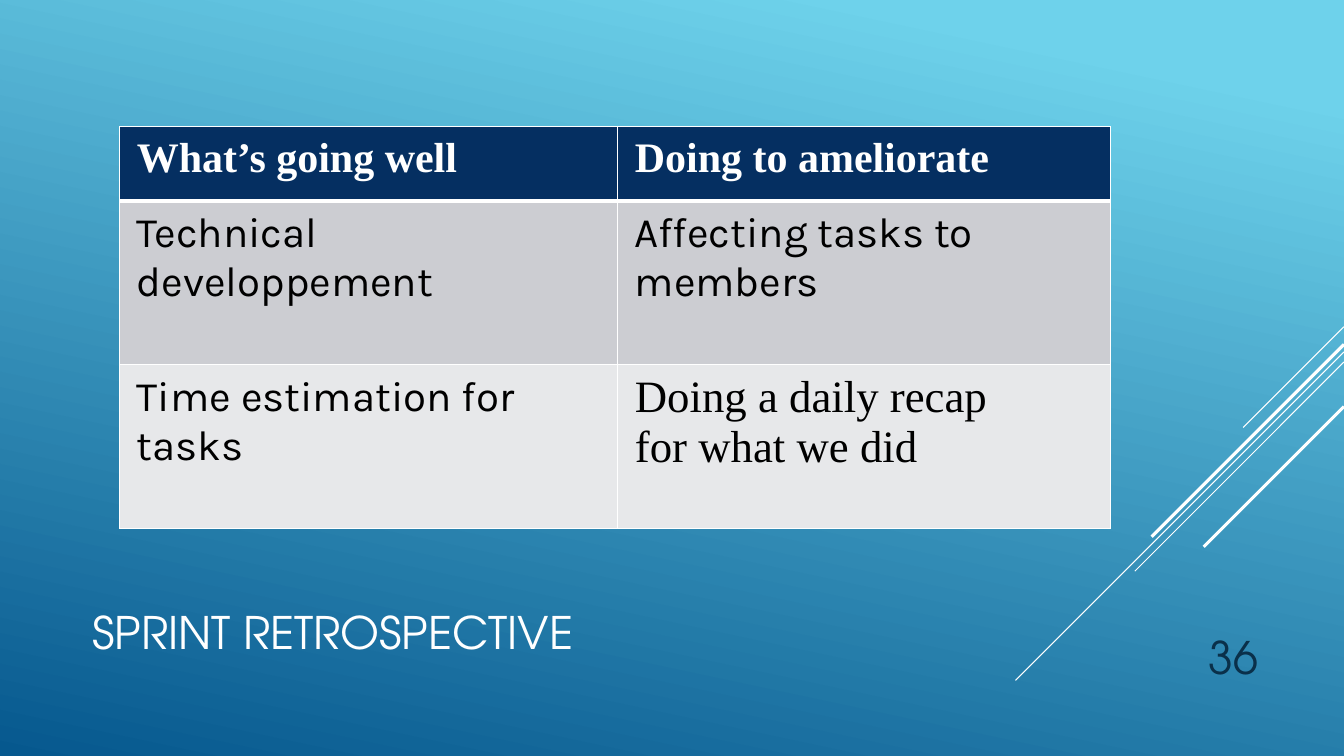
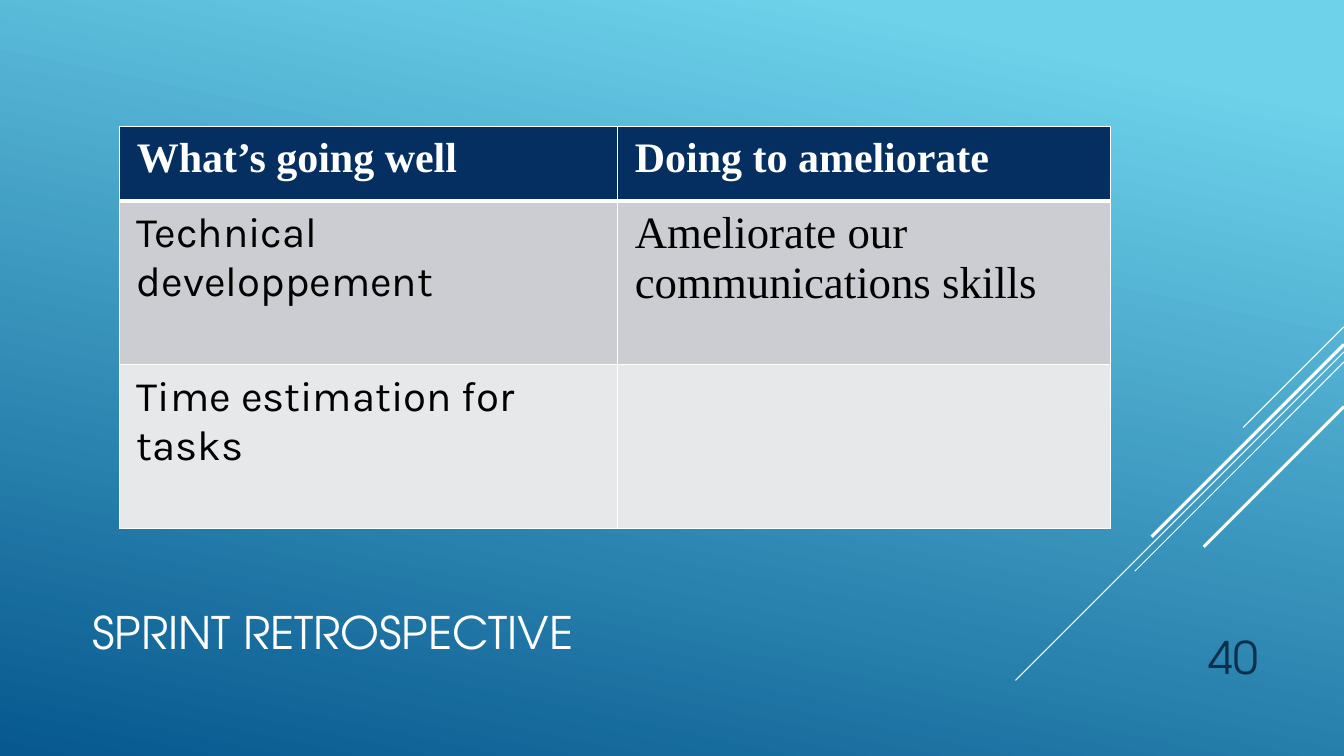
"""Builds the sprint retrospective slides."""
from lxml import etree
from pptx import Presentation
from pptx import util as u
from pptx.dml.color import RGBColor
from pptx.enum import shapes, text
from pptx.oxml import ns

WHITE = RGBColor(0xFF, 0xFF, 0xFF)
BLACK = RGBColor(0, 0, 0)
SKY = RGBColor(0x6E, 0xD2, 0xEB)
OCEAN = RGBColor(0x06, 0x58, 0x8E)
NAVY = RGBColor(0x05, 0x2F, 0x61)
INK = RGBColor(0x0A, 0x30, 0x4A)
GREY = RGBColor(0xCC, 0xCD, 0xD2)
PALE = RGBColor(0xE7, 0xE8, 0xEA)

COLS, ROWS = 160, 90
UNIT = u.Inches(1) / 12

DISPLAY, SANS, SERIF = "TeX Gyre Adventor", "Karla", "Times New Roman"
HEADING = dict(font=SERIF, size=30, color=WHITE, bold=True)
BODY = dict(font=SANS, size=30, color=BLACK)
NOTE = dict(font=SERIF, size=32, color=BLACK)

# Each stripe: start row on the right edge, reach in grid units, width in points
STRIPES = [(38.9, 12, 0.75), (41.9, 39.1, 0.75), (43.1, 24.9, 0.75),
           (41, 22.9, 2.25), (48.4, 16.7, 2.25)]


def grid(*units):
    """Turn grid units into lengths."""
    return [u.Emu(round(n * UNIT)) for n in units]


def write(tf, content, font=DISPLAY, size=32, color=WHITE, bold=False,
          align=text.PP_ALIGN.LEFT):
    """Fill a text frame with one formatted paragraph, one line per newline."""
    tf.word_wrap = True
    p = tf.paragraphs[0]
    p.alignment = align
    for i, line in enumerate(content.split("\n")):
        if i:
            p.add_line_break()
        r = p.add_run()
        r.text = line
        r.font.name, r.font.size, r.font.bold = font, u.Pt(size), bold
        r.font.color.rgb = color


class Deck:
    """Holds the shared style and the current slide."""

    def __init__(self):
        """Start an empty widescreen presentation."""
        self.prs = Presentation()
        self.prs.slide_width, self.prs.slide_height = grid(COLS, ROWS)
        self.s = None

    def slide(self, title, number):
        """Add a slide with its background, stripes, title and number."""
        self.s = self.prs.slides.add_slide(self.prs.slide_layouts[6])
        fill = self.s.background.fill
        fill.gradient()
        fill.gradient_angle = 258
        for stop, (position, color) in zip(fill.gradient_stops,
                                           [(0.1, SKY), (1, OCEAN)]):
            stop.position, stop.color.rgb = position, color
        for row, reach, width in STRIPES:
            self.line(COLS, row, COLS - reach, row + reach, width)
        self.box(title, 9.8, 68, 114.2, 11)
        self.box(str(number), 136, 73.2, 15, 8.8, color=INK,
                 align=text.PP_ALIGN.RIGHT)

    def line(self, x1, y1, x2, y2, width):
        """Draw a straight white line."""
        sp = self.s.shapes.add_connector(shapes.MSO_CONNECTOR.STRAIGHT,
                                         *grid(x1, y1, x2, y2))
        sp.line.color.rgb, sp.line.width = WHITE, u.Pt(width)
        etree.SubElement(sp._element.spPr, ns.qn("a:effectLst"))

    def box(self, content, x, y, w, h, **style):
        """Add a bottom-anchored text box."""
        tf = self.s.shapes.add_textbox(*grid(x, y, w, h)).text_frame
        tf.vertical_anchor = text.MSO_ANCHOR.BOTTOM
        write(tf, content, **style)

    def border(self, cell, **widths):
        """Set white cell borders, given in points by side."""
        tcPr = cell._tc.get_or_add_tcPr()
        for side in "LRTB":
            ln = etree.SubElement(tcPr, ns.qn("a:ln" + side),
                                  w=str(u.Pt(widths.get(side, 1))))
            fill = etree.SubElement(ln, ns.qn("a:solidFill"))
            etree.SubElement(fill, ns.qn("a:srgbClr"), val=str(WHITE))

    def table(self, rows, x=14.25, y=15.1, widths=(59.3, 58.7),
              heights=(8.8, 19.5, 19.5)):
        """Add a table from rows of (content, style) pairs."""
        frame = self.s.shapes.add_table(
            len(rows), len(widths), *grid(x, y, sum(widths), sum(heights)))
        tbl = frame.table
        tbl.first_row = tbl.horz_banding = False
        for column, width in zip(tbl.columns, grid(*widths)):
            column.width = width
        for row, height in zip(tbl.rows, grid(*heights)):
            row.height = height
        edges = [dict(B=3), dict(T=3), {}]
        for i, (row, color) in enumerate(zip(rows, [NAVY, GREY, PALE])):
            for j, (content, style) in enumerate(row):
                cell = tbl.cell(i, j)
                self.border(cell, **edges[i])
                cell.fill.solid()
                cell.fill.fore_color.rgb = color
                cell.margin_left = cell.margin_right = u.Inches(0.17)
                cell.margin_top = cell.margin_bottom = u.Inches(0.08)
                if content:
                    write(cell.text_frame, content, **style)


def main():
    """Build and save the slides."""
    deck = Deck()
    retrospectives = [
        (36, ("Affecting tasks to members", BODY),
         ("Doing a daily recap\nfor what we did", NOTE)),
        (40, ("Ameliorate our communications skills", NOTE), ("", NOTE)),
    ]
    for number, first, second in retrospectives:
        deck.slide("SPRINT RETROSPECTIVE", number)
        deck.table([
            [("What’s going well", HEADING), ("Doing to ameliorate", HEADING)],
            [("Technical developpement", BODY), first],
            [("Time estimation for tasks", BODY), second],
        ])
    deck.prs.save("out.pptx")


if __name__ == "__main__":
    main()
